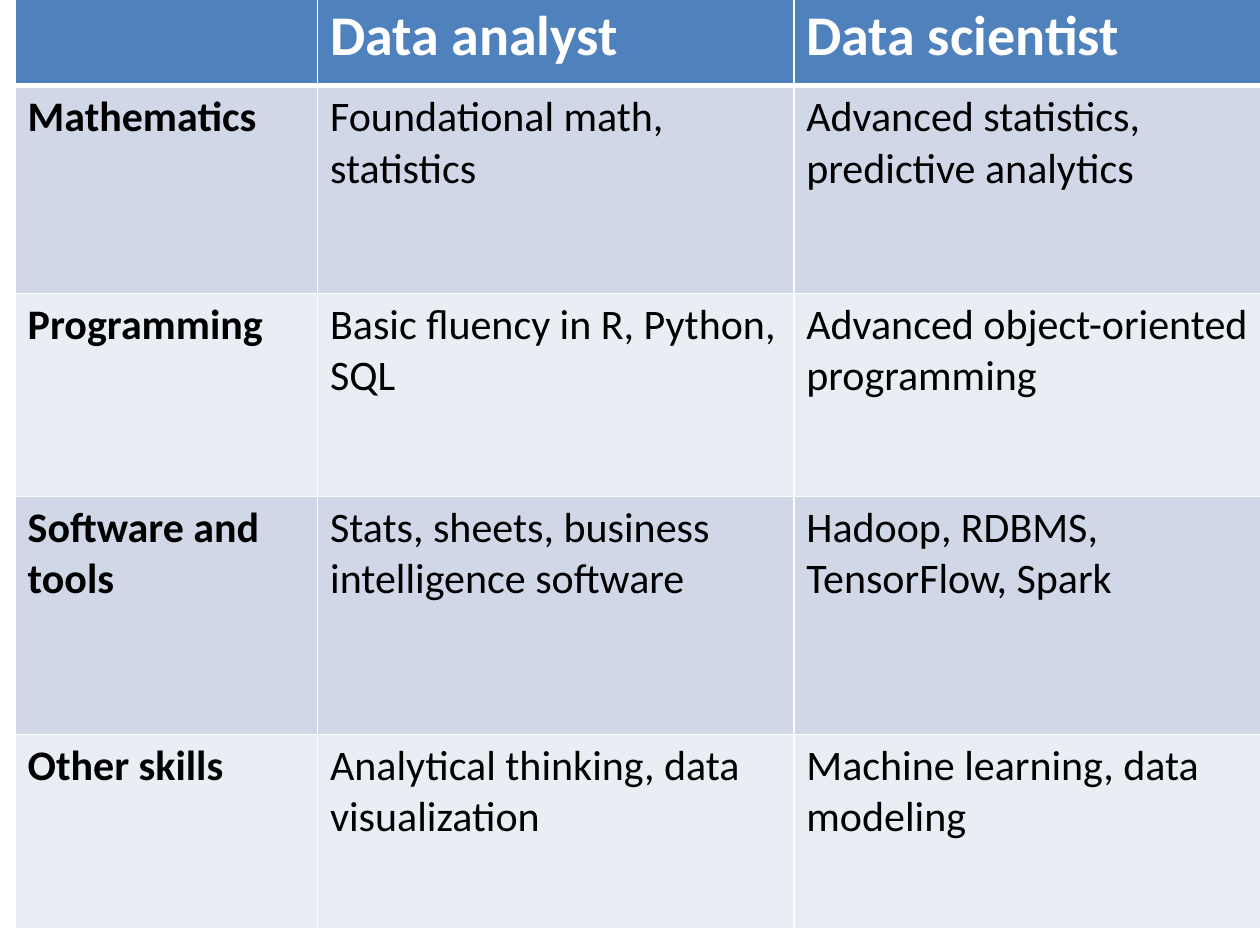
from lxml.etree import SubElement
from pptx import Presentation
from pptx.dml.color import RGBColor as Color
from pptx.oxml.ns import qn
from pptx.util import Inches, Pt

THEME = {
    "font": "Calibri",
    "header": {"fill": "4F81BD", "text": "FFFFFF", "size": 32},
    "body": {"fills": ("D0D8E8", "E9EDF4"), "text": "000000", "size": 24},
    "border": {"color": "FFFFFF", "thin": 1, "thick": 3},
}
SLIDE_SIZE = (10, 7.5)
TABLE_ORIGIN = (0.12, -0.03)
COLUMN_WIDTHS = (2.4, 3.78, 3.82)
ROW_HEIGHTS = (0.71, 1.65, 1.61, 1.89, 1.54)
SKILLS = [
    ("", "Data analyst", "Data scientist"),
    ("Mathematics", "Foundational math, statistics", "Advanced statistics, predictive analytics"),
    ("Programming", "Basic fluency in R, Python, SQL", "Advanced object-oriented programming"),
    ("Software and tools", "Stats, sheets, business intelligence software", "Hadoop, RDBMS, TensorFlow, Spark"),
    ("Other skills", "Analytical thinking, data visualization", "Machine learning, data modeling"),
]


def set_borders(cell, row_index):
    """Draw the four cell edges, with a thick rule under the header row."""
    border = THEME["border"]
    properties = cell._tc.get_or_add_tcPr()
    thick_edge = {0: "lnB", 1: "lnT"}.get(row_index)
    for edge in ("lnL", "lnR", "lnT", "lnB"):
        width = border["thick" if edge == thick_edge else "thin"]
        line = SubElement(properties, qn(f"a:{edge}"), w=str(Pt(width)))
        fill = SubElement(line, qn("a:solidFill"))
        SubElement(fill, qn("a:srgbClr"), val=border["color"])


def fill_cell(cell, text, row_index, column_index):
    """Write and format one cell according to its place in the table."""
    style = THEME["body"] if row_index else THEME["header"]
    fill = style["fills"][(row_index - 1) % 2] if row_index else style["fill"]
    set_borders(cell, row_index)
    cell.fill.solid()
    cell.fill.fore_color.rgb = Color.from_string(fill)
    cell.text = text
    font = cell.text_frame.paragraphs[0].font
    if text:
        font = cell.text_frame.paragraphs[0].runs[0].font
    formats = {
        "name": THEME["font"],
        "size": Pt(style["size"]),
        "bold": row_index == 0 or column_index == 0,
    }
    for name, value in formats.items():
        setattr(font, name, value)
    font.color.rgb = Color.from_string(style["text"])


def main():
    """Build the skills comparison slide."""
    presentation = Presentation()
    presentation.slide_width, presentation.slide_height = map(Inches, SLIDE_SIZE)
    slide = presentation.slides.add_slide(presentation.slide_layouts[6])
    extent = (sum(COLUMN_WIDTHS), sum(ROW_HEIGHTS))
    frame = slide.shapes.add_table(
        len(ROW_HEIGHTS), len(COLUMN_WIDTHS), *map(Inches, TABLE_ORIGIN + extent)
    )
    table = frame.table
    for column, width in zip(table.columns, COLUMN_WIDTHS):
        column.width = Inches(width)
    for row, height in zip(table.rows, ROW_HEIGHTS):
        row.height = Inches(height)
    for row_index, texts in enumerate(SKILLS):
        for column_index, text in enumerate(texts):
            fill_cell(table.cell(row_index, column_index), text, row_index, column_index)
    presentation.save("out.pptx")


if __name__ == "__main__":
    main()
